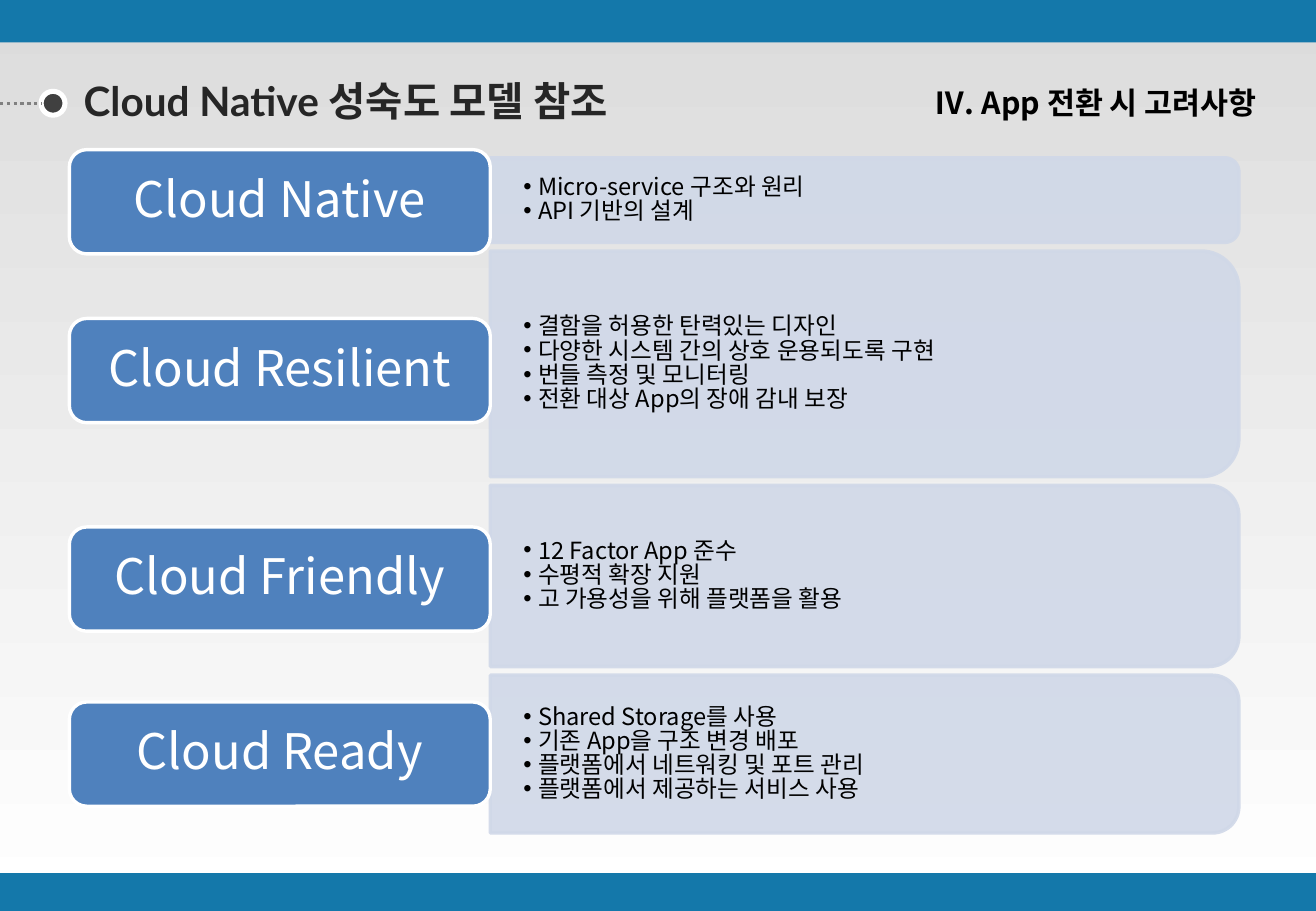
import math

from lxml import etree
from pptx import Presentation
from pptx import util as u
from pptx.dml import color
from pptx.enum import dml, shapes, text
from pptx.oxml import ns

CJK = "Noto Sans CJK KR"
BLUE, PANEL, LABEL, WHITE = "1478AA", "D0D8E8", "4F81BD", "FFFFFF"
LEVELS = [
    ("Cloud Native", 3.13, 1.77, ["Micro-service 구조와 원리", "API 기반의 설계"]),
    ("Cloud Resilient", 6.66, 4.72, [
        "결함을 허용한 탄력있는 디자인",
        "다양한 시스템 간의 상호 운용되도록 구현",
        "번들 측정 및 모니터링",
        "전환 대상 App의 장애 감내 보장",
    ]),
    ("Cloud Friendly", 11.02, 3.79, [
        "12 Factor App 준수", "수평적 확장 지원", "고 가용성을 위해 플랫폼을 활용",
    ]),
    ("Cloud Ready", 14.68, 3.3, [
        "Shared Storage를 사용",
        "기존 App을 구조 변경 배포",
        "플랫폼에서 네트워킹 및 포트 관리",
        "플랫폼에서 제공하는 서비스 사용",
    ]),
]


def rgb(value):
    return color.RGBColor.from_string(value)


def apply(target, values):
    for name, value in values.items():
        setattr(target, name, value)


class MaturitySlide:
    """Draws the elements of the maturity slide in one shared style."""

    def __init__(self, deck):
        self.slide = deck.slides.add_slide(deck.slide_layouts.get_by_name("Comparison"))
        self.heading, *self.lists = self.slide.placeholders

    def background(self, top, bottom):
        fill = self.slide.background.fill
        fill.gradient()
        fill.gradient_angle = 270
        for stop, shade in zip(fill.gradient_stops, (top, bottom)):
            stop.color.rgb = rgb(shade)

    def paint(self, shape, fill, line=None, width=0, opacity=100):
        shape.shadow.inherit = False
        shape.fill.solid()
        shape.fill.fore_color.rgb = rgb(fill)
        if line:
            shape.line.color.rgb = rgb(line)
            shape.line.width = u.Pt(width)
        else:
            shape.line.fill.background()
        if opacity < 100:
            for tint in shape._element.spPr.iter(ns.qn("a:srgbClr")):
                etree.SubElement(tint, ns.qn("a:alpha")).set("val", str(opacity * 1000))

    def block(self, kind, box, *style):
        shape = self.slide.shapes.add_shape(kind, *map(u.Cm, box))
        self.paint(shape, *style)
        return shape

    def fill_text(self, shape, lines, size, ink, font=CJK, bold=False, bullet=False,
                  insets=(0, 0, 0, 0), anchor=text.MSO_ANCHOR.MIDDLE, wrap=True, **layout):
        frame = shape.text_frame
        frame.text = "\n".join(lines)
        sides = ("margin_left", "margin_top", "margin_right", "margin_bottom")
        apply(frame, dict(zip(sides, map(u.Cm, insets))))
        apply(frame, {"auto_size": text.MSO_AUTO_SIZE.NONE, "word_wrap": wrap,
                      "vertical_anchor": anchor})
        for paragraph in frame.paragraphs:
            apply(paragraph, {"space_before": u.Pt(0), **layout})
            if bullet:
                properties = paragraph._p.get_or_add_pPr()
                properties.set("marL", str(u.Cm(0.31)))
                properties.set("indent", str(-u.Cm(0.31)))
                etree.SubElement(properties, ns.qn("a:buChar")).set("char", "•")
            for run in paragraph.runs:
                apply(run.font, {"name": font, "size": u.Pt(size), "bold": bold})
                run.font.color.rgb = rgb(ink)
                east_asian = etree.Element(ns.qn("a:ea"), typeface=CJK)
                run.font._element.find(ns.qn("a:latin")).addnext(east_asian)

    def place(self, shape, box):
        apply(shape, dict(zip(("left", "top", "width", "height"), map(u.Cm, box))))
        self.slide.shapes._spTree.append(shape._element)

    def title(self, words):
        self.place(self.heading, (0.86, 1.7, 13.03, 0.92))
        self.fill_text(self.heading, [words], 24, "262626", "Lato", True,
                       insets=(0.89, 0, 0.5, 0), wrap=False,
                       alignment=text.PP_ALIGN.LEFT, line_spacing=0.9)

    def section(self, words):
        box = self.slide.shapes.add_textbox(*map(u.Cm, (13.64, 1.63, 12.88, 1.07)))
        self.fill_text(box, [words], 18, "000000", bold=True,
                       insets=(0.25, 0.13, 0.25, 0.13), anchor=text.MSO_ANCHOR.TOP,
                       alignment=text.PP_ALIGN.RIGHT)

    def dotted_line(self, start, end, height):
        line = self.slide.shapes.add_connector(
            shapes.MSO_CONNECTOR.STRAIGHT, *map(u.Cm, (start, height, end, height)))
        line.line.color.rgb = rgb("808080")
        apply(line.line, {"width": u.Pt(2), "dash_style": dml.MSO_LINE.ROUND_DOT})
        etree.SubElement(line._element.spPr, ns.qn("a:effectLst"))

    def panel(self, left, top, width, height):
        radius, right = height / 6, left + width
        arcs = [(right - radius + radius * math.sin(math.radians(angle)), middle
                 - radius * math.cos(math.radians(angle)))
                for first, middle in ((0, top + radius), (90, top + height - radius))
                for angle in range(first, first + 91, 6)]
        outline = [*arcs, (left, top + height)]
        builder = self.slide.shapes.build_freeform(u.Cm(left), u.Cm(top))
        builder.add_line_segments([(u.Cm(x), u.Cm(y)) for x, y in outline])
        self.paint(builder.convert_to_shape(), PANEL, PANEL, 2, 90)

    def level(self, name, label_top, box, points, listing):
        self.panel(*box)
        self.place(listing, box)
        self.fill_text(listing, points, 14, "000000", bullet=True,
                       insets=(0.69, 0.3, 0.85, 0.3), line_spacing=0.85,
                       space_after=u.Pt(0), alignment=text.PP_ALIGN.LEFT)
        label = self.block(shapes.MSO_SHAPE.ROUNDED_RECTANGLE,
                           (1.45, label_top, 8.8, 2.18), LABEL, WHITE, 2)
        self.fill_text(label, [name], 29, WHITE, insets=(0.4, 0.25, 0.4, 0.25),
                       alignment=text.PP_ALIGN.CENTER, line_spacing=0.9)


def main():
    deck = Presentation()
    apply(deck, {"slide_width": u.Cm(27.51), "slide_height": u.Cm(19.05)})
    page = MaturitySlide(deck)
    page.background("DCDCDC", WHITE)
    for top, height in ((0, 0.89), (18.26, 0.79)):
        page.block(shapes.MSO_SHAPE.RECTANGLE, (0, top, 27.51, height), BLUE)
    page.title("Cloud Native 성숙도 모델 참조")
    page.block(shapes.MSO_SHAPE.OVAL, (0.86, 1.91, 0.5, 0.5), "404040", WHITE, 3)
    page.dotted_line(0, 0.86, 2.16)
    page.section("Ⅳ. App 전환 시 고려사항")
    top = 3.3
    for (name, label_top, height, points), listing in zip(LEVELS, page.lists):
        page.level(name, label_top, (10.25, top, 15.65, height), points, listing)
        top += height + 0.18
    deck.save("out.pptx")


if __name__ == "__main__":
    main()
